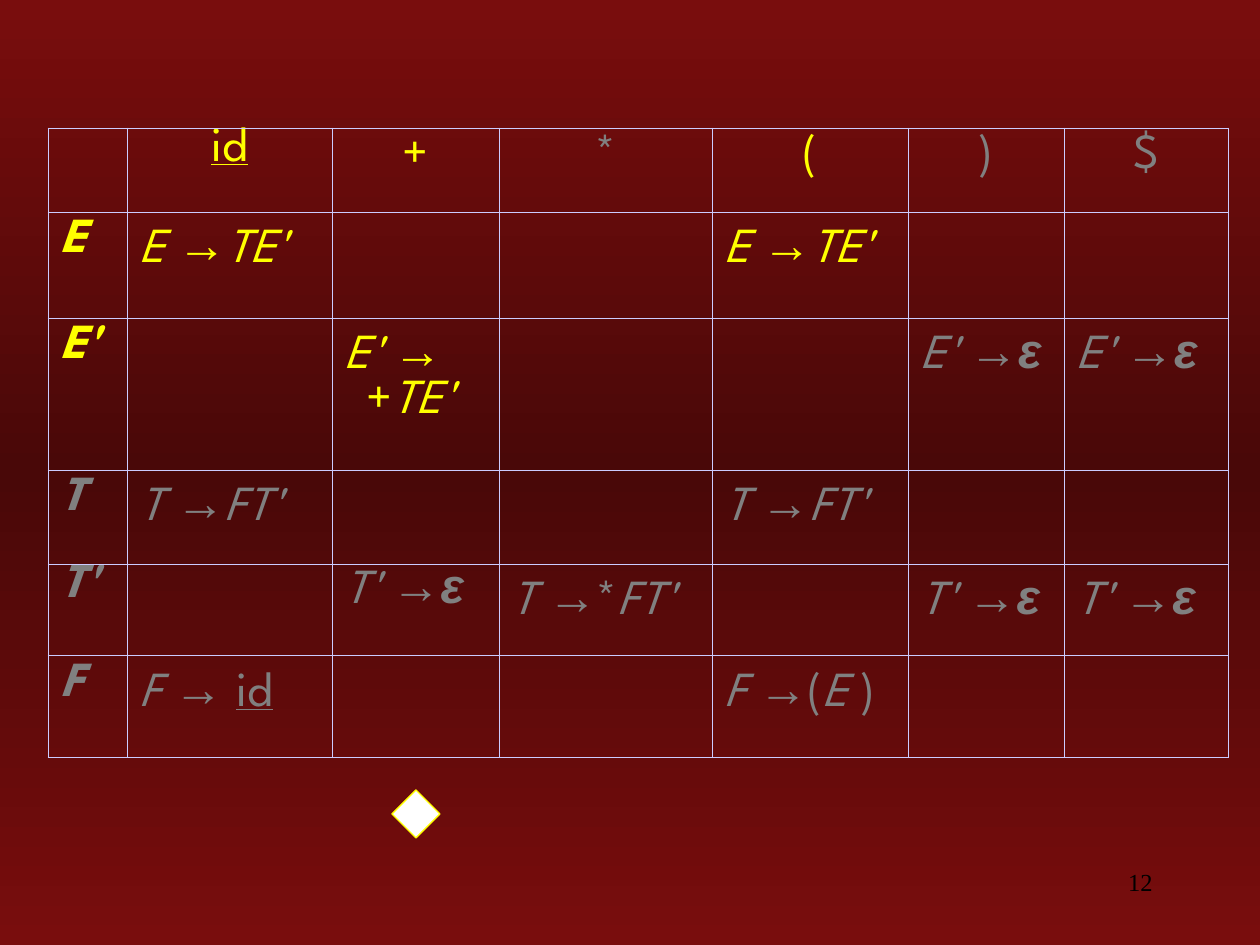
from copy import deepcopy

from lxml import etree
from pptx import Presentation
from pptx.dml.color import RGBColor
from pptx.enum.shapes import MSO_SHAPE
from pptx.enum.text import PP_ALIGN
from pptx.oxml.ns import qn
from pptx.util import Pt

EMU_PER_PX = 914400 / 126
CENTER, LEFT, RIGHT = PP_ALIGN.CENTER, PP_ALIGN.LEFT, PP_ALIGN.RIGHT
DIAMOND = MSO_SHAPE.DIAMOND
YELLOW, GRAY, GRID = "FFFF00", "808080", "CCCCFF"

# Tokens of a production that are not plain italic symbols
UPRIGHT = {"italic": False}
ARROW = {"font": "Arial", "bold": True, "italic": False}
TOKEN_FORMATS = {
    "→": ARROW, "→ ": ARROW,
    "ε": {"font": "Arial", "bold": True},
    "+": UPRIGHT, "*": UPRIGHT, "(": UPRIGHT, " )": UPRIGHT,
    "id": {"italic": False, "underline": True},
}

# Parsing table: terminals across, nonterminals down
TERMINALS = ["id", "+", "*", "(", ")", "$"]
NONTERMINALS = ["E", "E'", "T", "T'", "F"]
COLUMN_WIDTHS = [79, 205, 167, 213, 196, 156, 164]
ROW_HEIGHTS = [84, 106, 152, 94, 92, 102]
PRODUCTIONS = {
    ("E", "id"): ["E ", "→", "TE'"],
    ("E", "("): ["E ", "→", "TE'"],
    ("E'", "+"): ["E' ", "→", "\n", "+", "TE'"],
    ("E'", ")"): ["E' ", "→", "ε"],
    ("E'", "$"): ["E' ", "→", "ε"],
    ("T", "id"): ["T ", "→", "FT'"],
    ("T", "("): ["T ", "→", "FT'"],
    ("T'", "+"): ["T' ", "→", "ε"],
    ("T'", "*"): ["T ", "→", "*", "FT'"],
    ("T'", ")"): ["T' ", "→", "ε"],
    ("T'", "$"): ["T' ", "→", "ε"],
    ("F", "id"): ["F ", "→ ", "id"],
    ("F", "("): ["F ", "→", "(", "E", " )"],
}
HIGHLIGHTED = {"", "id", "+", "(", "E", "E'"}
TIGHT_CELLS = {("", "id"), ("T'", ""), ("T'", "+")}


def px(length):
    return round(length * EMU_PER_PX)


def color(value):
    return RGBColor.from_string(value)


def add_text(para, text, font="League Spartan", size=28, fill=YELLOW,
             bold=False, italic=False, underline=False):
    span = para.add_run()
    span.text = text
    span.font.name, span.font.size = font, Pt(size)
    span.font.bold, span.font.italic, span.font.underline = bold, italic, underline
    span.font.color.rgb = color(fill)


class SlideBuilder:
    def __init__(self, deck):
        self.page = deck.slides.add_slide(deck.slide_layouts[6])

    def background(self, edge, middle):
        fill = self.page.background.fill
        fill.gradient()
        fill.gradient_angle = 90
        first = next(self.page.element.iter(qn("a:gs")))
        first.addnext(deepcopy(first))
        for stop, position, value in zip(fill.gradient_stops, (0, 0.5, 1), (edge, middle, edge)):
            stop.position = position
            stop.color.rgb = color(value)

    def text_box(self, left, top, width, height, text, align, **style):
        box = self.page.shapes.add_textbox(px(left), px(top), px(width), px(height))
        box.text_frame.word_wrap = True
        para = box.text_frame.paragraphs[0]
        para.alignment = align
        add_text(para, text, **style)

    def shape(self, kind, left, top, width, height, fill, line):
        shape = self.page.shapes.add_shape(kind, px(left), px(top), px(width), px(height))
        shape.shadow.inherit = False
        shape.fill.solid()
        shape.fill.fore_color.rgb = color(fill)
        shape.line.color.rgb = color(line)
        shape.line.width = Pt(0.75)

    def border(self, cell):
        properties = cell._tc.get_or_add_tcPr()
        for side in ("a:lnL", "a:lnR", "a:lnT", "a:lnB"):
            line = etree.SubElement(properties, qn(side), w=str(Pt(0.45)))
            solid = etree.SubElement(line, qn("a:solidFill"))
            etree.SubElement(solid, qn("a:srgbClr"), val=GRID)

    def grid(self, left, top, widths, heights):
        frame = self.page.shapes.add_table(len(heights), len(widths), px(left), px(top),
                                           px(sum(widths)), px(sum(heights)))
        table = frame.table
        table.first_row = table.horz_banding = False
        for column, width in zip(table.columns, widths):
            column.width = px(width)
        for row, height in zip(table.rows, heights):
            row.height = px(height)
        for cell in table.iter_cells():
            self.border(cell)
            cell.fill.background()
        return table

    def production(self, para, tokens, fill):
        if "\n" in tokens:  # continuation line hangs
            para._p.get_or_add_pPr().set("marL", str(px(22)))
            para._p.get_or_add_pPr().set("indent", str(px(-22)))
        for token in tokens:
            if token == "\n":
                para.add_line_break()
            else:
                add_text(para, token, fill=fill,
                         **{"italic": True, **TOKEN_FORMATS.get(token, {})})

    def parsing_table(self, left, top):
        table = self.grid(left, top, COLUMN_WIDTHS, ROW_HEIGHTS)
        for row, nonterminal in enumerate(["", *NONTERMINALS]):
            for column, terminal in enumerate(["", *TERMINALS]):
                para = table.cell(row, column).text_frame.paragraphs[0]
                fill = YELLOW if {nonterminal, terminal} <= HIGHLIGHTED else GRAY
                para.alignment = LEFT if nonterminal else CENTER
                if (nonterminal, terminal) in TIGHT_CELLS:
                    para.line_spacing = 0.75
                if nonterminal and terminal:
                    self.production(para, PRODUCTIONS.get((nonterminal, terminal), []), fill)
                elif nonterminal:
                    add_text(para, nonterminal, fill=fill, bold=True, italic=True)
                elif terminal:
                    add_text(para, terminal, fill=fill, underline=terminal == "id")


def main():
    deck = Presentation()
    deck.slide_width, deck.slide_height = px(1260), px(945)
    slide = SlideBuilder(deck)
    slide.background("790D0D", "490808")

    # Slide number
    slide.text_box(903, 861, 262, 63, "12", RIGHT,
                   font="Times New Roman", size=14, fill="000000")

    # Parsing table and the marker under it
    slide.parsing_table(48, 128)
    slide.shape(DIAMOND, 392, 790, 48, 48, fill="FFFFFF", line=YELLOW)

    deck.save("out.pptx")


if __name__ == "__main__":
    main()
